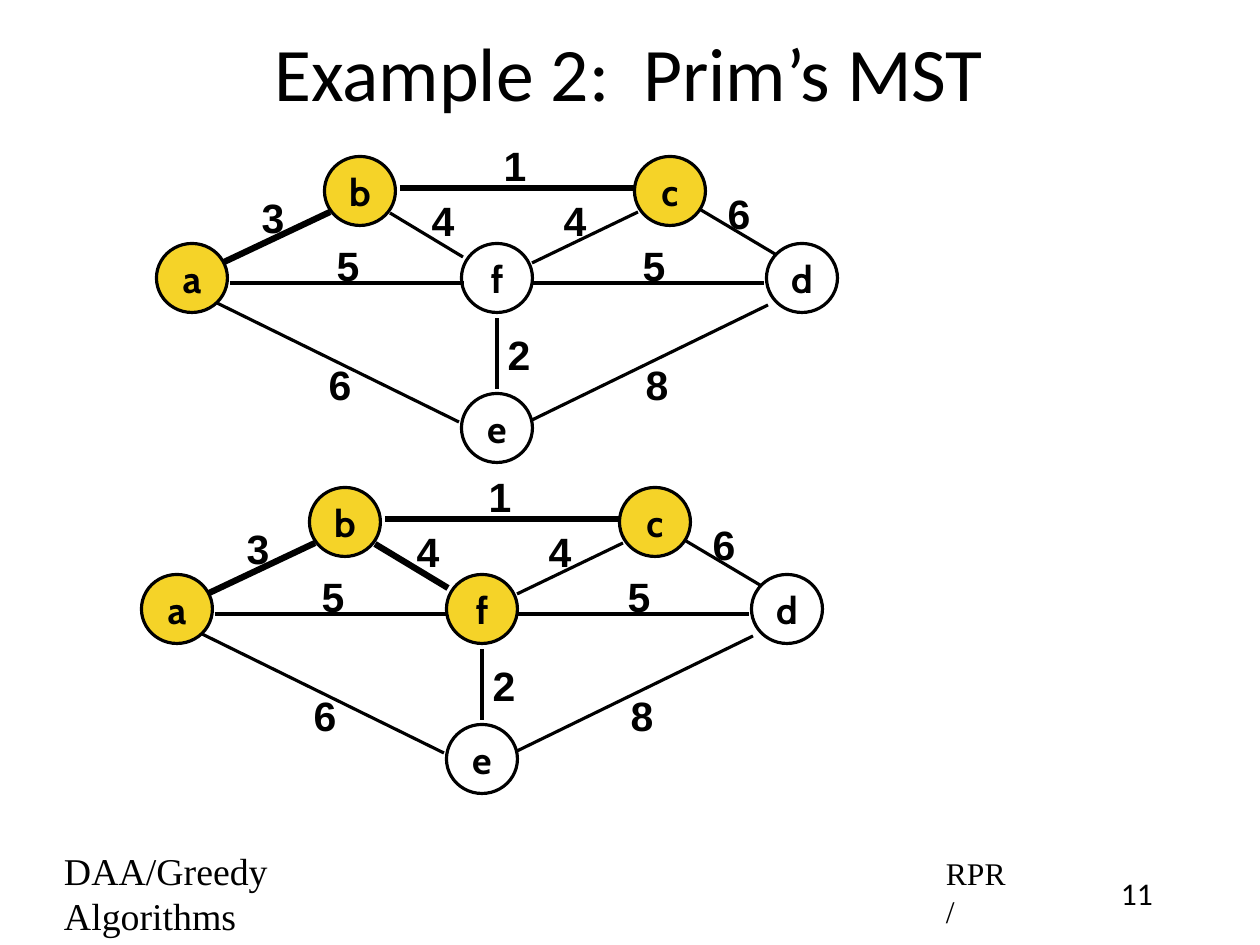
from lxml import etree
from pptx import Presentation
from pptx.dml.color import RGBColor
from pptx.enum.shapes import MSO_CONNECTOR, MSO_SHAPE
from pptx.enum.text import MSO_ANCHOR, PP_ALIGN
from pptx.oxml.ns import qn
from pptx.util import Pt

PX = 914400 / 113.4
BLACK = RGBColor(0x00, 0x00, 0x00)
YELLOW = RGBColor(0xF5, 0xD3, 0x28)
OVAL = MSO_SHAPE.OVAL
STRAIGHT = MSO_CONNECTOR.STRAIGHT
MIDDLE = MSO_ANCHOR.MIDDLE
LEFT = PP_ALIGN.LEFT
CENTER = PP_ALIGN.CENTER

NODE_WIDTH, NODE_HEIGHT = 71, 69
LABEL_WIDTH, LABEL_HEIGHT = 42, 60

# Node centres
NODES = {
    "a": (192, 278), "b": (360, 191), "c": (670, 191),
    "d": (802, 278), "e": (497, 428), "f": (497, 278),
}

# Edge: start, end, weight, centre of the weight label
EDGES = {
    "ab": ((222, 263), (330, 212), 3, (273, 217)),
    "bc": ((400, 188), (634, 188), 1, (515, 165)),
    "bf": ((390, 213), (463, 257), 4, (443, 220)),
    "cf": ((638, 212), (532, 263), 4, (575, 220)),
    "cd": ((701, 210), (775, 254), 6, (739, 213)),
    "af": ((230, 283), (464, 283), 5, (348, 265)),
    "df": ((764, 283), (531, 283), 5, (654, 265)),
    "ef": ((497, 389), (497, 318), 2, (519, 354)),
    "ae": ((217, 303), (459, 422), 6, (340, 384)),
    "de": ((768, 305), (532, 420), 8, (657, 384)),
}

# Step: offset, nodes reached, edges chosen
STEPS = [
    ((0, 0), "abc", ("ab", "bc")),
    ((-15, 331), "abcf", ("ab", "bc", "bf")),
]


def px(length):
    return round(length * PX)


def write_text(shape, text, font_name, size, bold=False, align=CENTER):
    frame = shape.text_frame
    frame.word_wrap = True
    frame.vertical_anchor = MIDDLE
    frame.margin_left = frame.margin_right = 0
    frame.margin_top = frame.margin_bottom = 0
    paragraph = frame.paragraphs[0]
    paragraph.text = text
    paragraph.alignment = align
    paragraph.font.name = font_name
    paragraph.font.size = Pt(size)
    paragraph.font.bold = bold
    paragraph.font.color.rgb = BLACK


def add_text(slide, box, text, font_name, size, **style):
    shape = slide.shapes.add_textbox(*map(px, box))
    write_text(shape, text, font_name, size, **style)


def add_edge(slide, start, end, chosen):
    line = slide.shapes.add_connector(STRAIGHT, *map(px, start + end))
    line.line.color.rgb = BLACK
    line.line.width = Pt(4 if chosen else 2)
    etree.SubElement(line._element.spPr, qn("a:effectLst"))


def add_node(slide, name, center, reached):
    x, y = center
    box = (x - NODE_WIDTH / 2, y - NODE_HEIGHT / 2, NODE_WIDTH, NODE_HEIGHT)
    node = slide.shapes.add_shape(OVAL, *map(px, box))
    node.shadow.inherit = False
    if reached:
        node.fill.solid()
        node.fill.fore_color.rgb = YELLOW
    else:
        node.fill.background()
    node.line.color.rgb = BLACK
    node.line.width = Pt(2)
    write_text(node, name, "Cabin", 24, bold=True)


def add_weight(slide, weight, center):
    x, y = center
    box = (x - LABEL_WIDTH / 2, y - LABEL_HEIGHT / 2, LABEL_WIDTH, LABEL_HEIGHT)
    add_text(slide, box, str(weight), "Arial", 26, bold=True)


def add_graph(slide, offset, reached, chosen):
    def moved(point):
        return point[0] + offset[0], point[1] + offset[1]

    for name, (start, end, _, _) in EDGES.items():
        add_edge(slide, moved(start), moved(end), name in chosen)
    for name, center in NODES.items():
        add_node(slide, name, moved(center), name in reached)
    for _, _, weight, center in EDGES.values():
        add_weight(slide, weight, moved(center))


def main():
    presentation = Presentation()
    presentation.slide_width = px(1260)
    presentation.slide_height = px(945)
    slide = presentation.slides.add_slide(presentation.slide_layouts[6])

    # Title
    add_text(slide, (94, 8, 1070, 126), "Example 2:  Prim’s MST", "Calibri", 48)

    # Two steps of the algorithm
    for offset, reached, chosen in STEPS:
        add_graph(slide, offset, reached, chosen)

    # Footer
    add_text(slide, (64, 848, 240, 90), "DAA/Greedy Algorithms",
             "Times New Roman", 24, align=LEFT)
    add_text(slide, (946, 854, 64, 76), "RPR/", "Times New Roman", 20, align=LEFT)
    add_text(slide, (1102, 866, 70, 54), "11", "Calibri", 20)

    presentation.save("out.pptx")


if __name__ == "__main__":
    main()
